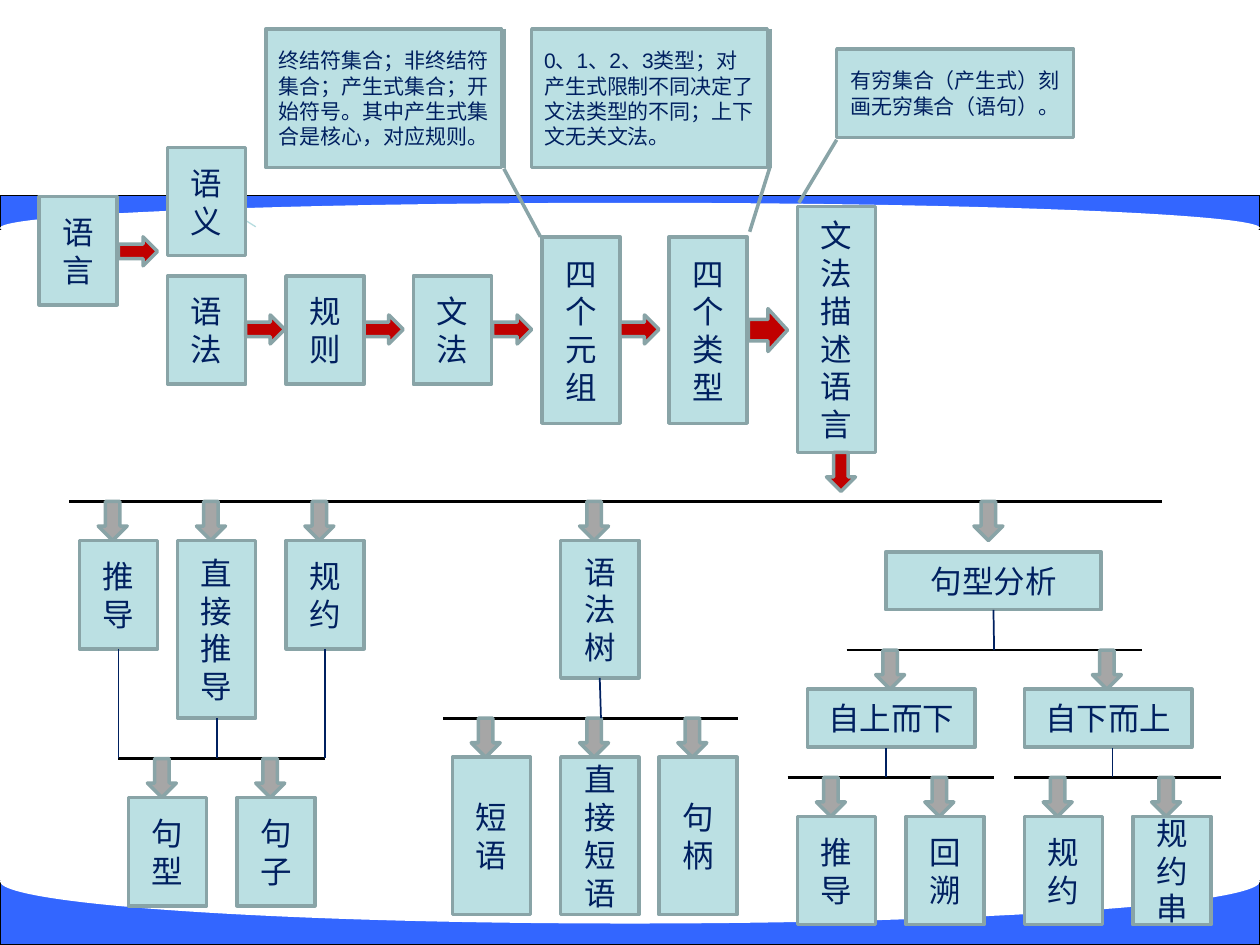
from lxml import etree
from pptx import Presentation
from pptx.dml.color import RGBColor
from pptx.enum import shapes as es, text as et
from pptx.oxml import ns
from pptx.util import Inches, Pt

KIND = es.MSO_SHAPE
NAVY, PALE, EDGE = "002060", "BBE0E3", "89A4A7"
RED, GRAY, BLUE = "C00000", "A6A6A6", "3366FF"
BLACK, WHITE = "000000", "FFFFFF"
WIDE = 0.62  # width of an upright box
DROP = 0.31  # length of an arrow


def rgb(code):
    return RGBColor.from_string(code)


def add_form(slide, kind, x, y, w, h, fill, edge=EDGE, width=2):
    form = slide.shapes.add_shape(kind, Inches(x), Inches(y), Inches(w), Inches(h))
    form.shadow.inherit = False
    form.fill.solid()
    form.fill.fore_color.rgb = rgb(fill)
    if edge:
        form.line.color.rgb = rgb(edge)
        form.line.width = Pt(width)
    else:
        form.line.fill.background()
    return form


def set_text(form, words, size, align=et.PP_ALIGN.CENTER):
    frame = form.text_frame
    frame.word_wrap = True
    frame.vertical_anchor = et.MSO_ANCHOR.MIDDLE
    frame.text = words
    for para in frame.paragraphs:
        para.alignment = align
        para.font.size = Pt(size)
        para.font.name = "Arial"
        para.font.color.rgb = rgb(NAVY)


def add_box(slide, words, x, y, h, w=WIDE):
    box = add_form(slide, KIND.RECTANGLE, x, y, w, h, PALE)
    set_text(box, words, 18)
    return box


def add_line(slide, x1, y1, x2, y2, color=BLACK, width=1.5):
    line = slide.shapes.add_connector(
        es.MSO_CONNECTOR.STRAIGHT, Inches(x1), Inches(y1), Inches(x2), Inches(y2))
    line.line.color.rgb = rgb(color)
    line.line.width = Pt(width)
    etree.SubElement(line._element.spPr, ns.qn("a:effectLst"))
    return line


def add_stem(slide, x, top, end, box=None):
    stem = add_line(slide, x, top, x, end, NAVY, 1)
    if box is not None:
        stem.begin_connect(box, 2)


def add_note(slide, words, x, y, w, h, start, tip, align=et.PP_ALIGN.CENTER):
    """Callout with an accent bar; start and tip are the ends of its leader."""
    note = add_form(slide, KIND.LINE_CALLOUT_1_BORDER_AND_ACCENT_BAR, x, y, w, h, PALE)
    for i, (px, py) in enumerate((start, tip)):
        note.adjustments[2 * i] = (py - y) / h
        note.adjustments[2 * i + 1] = (px - x) / w
    set_text(note, words, 12, align)


def add_branch(slide, left, right, y, items):
    """Bar with an arrow down to each box; returns the boxes."""
    if right > left:
        add_line(slide, left, y, right, y)
    boxes = []
    for words, x, h, *rest in items:
        w, shift, gap = rest or (WIDE, 0.15, DROP)
        add_form(slide, KIND.DOWN_ARROW, x + shift, y, 0.23, DROP, GRAY)
        boxes.append(add_box(slide, words, x, y + gap, h, w))
    return boxes


def add_bands(slide):
    for y, h, oval_y, oval_h in ((1.55, 0.27, 1.61, 0.4), (6.99, 0.51, 6.66, 0.67)):
        add_form(slide, KIND.RECTANGLE, 0, y, 10, h, BLUE, BLACK, 0.75)
        add_form(slide, KIND.OVAL, 0, oval_y, 10, oval_h, WHITE, None)


def add_chain(slide):
    add_line(slide, 1.52, 1.48, 2.03, 1.8, "B6DCDF", 0.75)
    for words, x, y, h in (
        ("语言", 0.31, 1.56, 0.86),
        ("语义", 1.33, 1.17, 0.86),
        ("语法", 1.33, 2.19, 0.86),
        ("规则", 2.27, 2.19, 0.86),
        ("文法", 3.28, 2.19, 0.86),
        ("四个\n元组", 4.3, 1.88, 1.48),
        ("四个类型", 5.31, 1.88, 1.48),
        ("文法描述语言", 6.33, 1.64, 1.95),
    ):
        add_box(slide, words, x, y, h)
    for x, y, h in ((0.94, 1.88, 0.23), (1.95, 2.5, 0.23), (2.89, 2.5, 0.23),
                    (3.91, 2.5, 0.23), (4.92, 2.5, 0.23), (5.94, 2.45, 0.34)):
        add_form(slide, KIND.RIGHT_ARROW, x, y, DROP, h, RED)
    add_form(slide, KIND.DOWN_ARROW, 6.56, 3.59, 0.23, DROP, RED)


def add_notes(slide):
    add_note(slide, "终结符集合；非终结符集合；产生式集合；开始符号。其中产生式集合是核心，对应规则。",
             2.11, 0.23, 1.87, 1.1, (4, 1.34), (4.29, 1.88))
    add_note(slide, "0、1、2、3类型；对产生式限制不同决定了文法类型的不同；上下文无关文法。",
             4.22, 0.23, 1.87, 1.1, (6.11, 1.33), (5.95, 1.84), et.PP_ALIGN.LEFT)
    add_note(slide, "有穷集合（产生式）刻画无穷集合（语句）。",
             6.64, 0.39, 1.88, 0.7, (6.64, 1.11), (6.34, 1.61))


def add_trees(slide):
    # Top level
    derive, direct, reduce, tree, parse_box = add_branch(slide, 0.55, 9.22, 3.98, (
        ("推导", 0.63, 0.86),
        ("直接推导", 1.41, 1.41),
        ("规约", 2.27, 0.86),
        ("语法树", 4.45, 1.09),
        ("句型分析", 7.03, 0.46, 1.71, 0.7, 0.4),
    ))
    # Derivation
    add_branch(slide, 0.94, 2.58, 6.02, (("句型", 1.02, 0.86), ("句子", 1.88, 0.86)))
    add_stem(slide, 0.94, 5.16, 6.02, derive)
    add_stem(slide, 1.72, 5.7, 6.02, direct)
    add_stem(slide, 2.58, 5.16, 6.02, reduce)
    # Syntax tree
    add_branch(slide, 3.52, 5.86, 5.7, (
        ("短语", 3.59, 1.25), ("直接短语", 4.45, 1.25), ("句柄", 5.23, 1.25)))
    add_stem(slide, 4.77, 5.39, 5.7, tree)
    # Sentence analysis
    add_branch(slide, 6.72, 9.06, 5.16, (
        ("自上而下", 6.41, 0.46, 1.33, 0.54, DROP),
        ("自下而上", 8.13, 0.46, 1.33, 0.54, DROP)))
    add_stem(slide, 7.89, 4.84, 5.16, parse_box)
    for left, names in ((6.25, ("推导", "回溯")), (8.05, ("规约", "规约串"))):
        add_branch(slide, left, left + 1.64, 6.17, [
            (name, left + 0.08 + 0.86 * i, 0.86) for i, name in enumerate(names)])
        add_stem(slide, left + 0.78, 5.94, 6.17)


def main():
    deck = Presentation()
    deck.slide_width, deck.slide_height = Inches(10), Inches(7.5)
    slide = deck.slides.add_slide(deck.slide_layouts[6])
    add_bands(slide)
    add_chain(slide)
    add_notes(slide)
    add_trees(slide)
    deck.save("out.pptx")


if __name__ == "__main__":
    main()
